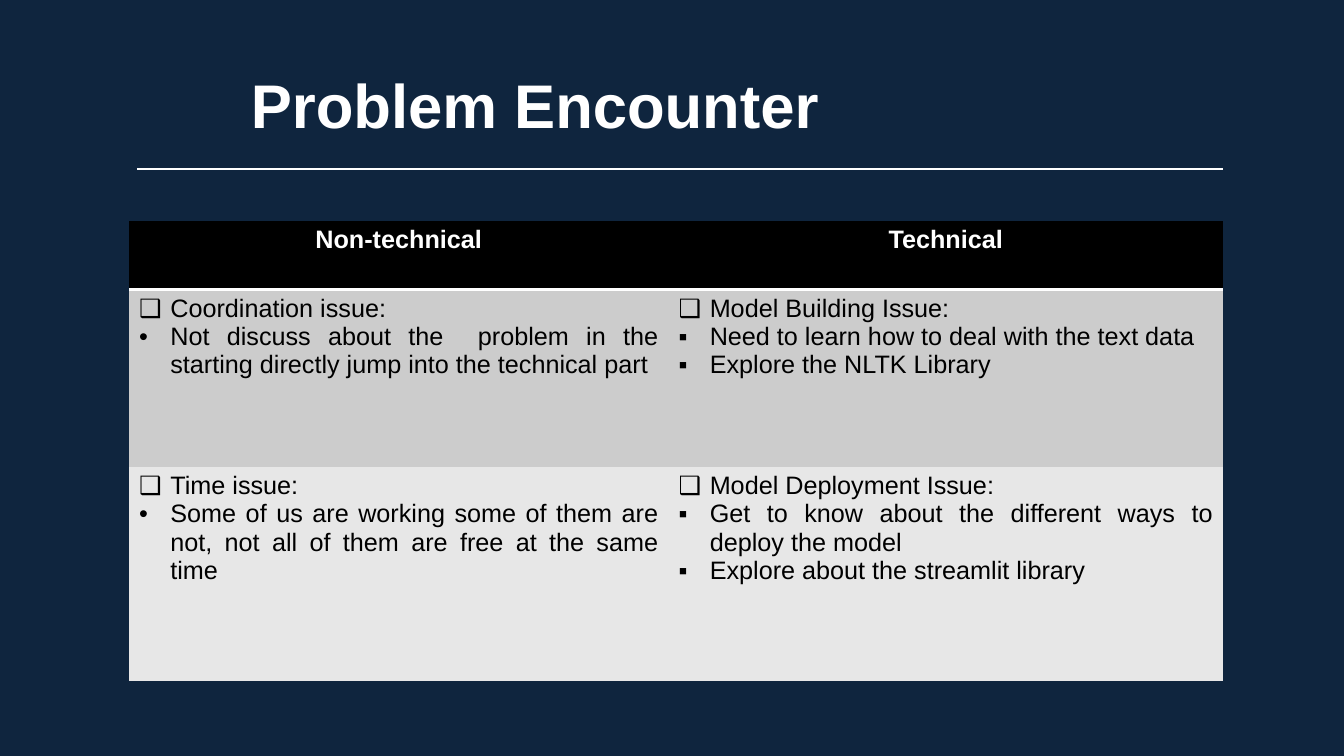
"""Build the Problem Encounter slide with its table of issues."""
from lxml.etree import SubElement
from pptx import Presentation
from pptx.dml.color import RGBColor
from pptx.enum.shapes import MSO_CONNECTOR
from pptx.enum.text import MSO_ANCHOR, PP_ALIGN
from pptx.oxml import parse_xml
from pptx.oxml.ns import nsdecls, qn
from pptx.util import Inches, Pt

NAVY = RGBColor(0x0F, 0x25, 0x3E)
WHITE = RGBColor(0xFF, 0xFF, 0xFF)
BLACK = RGBColor(0x00, 0x00, 0x00)
GREY = RGBColor(0xCC, 0xCC, 0xCC)
LIGHT_GREY = RGBColor(0xE7, 0xE7, 0xE7)
NO_STYLE = "{2D5ABB26-0587-4C30-8999-92F81FD0307C}"


def write(para, text, size=18, color=BLACK, bold=False, align=None, bullet=None):
    if bullet:
        properties = para._p.get_or_add_pPr()
        properties.set("marL", str(Inches(0.31)))
        properties.set("indent", str(Inches(-0.31)))
        SubElement(properties, qn("a:buFont"), typeface="Arial")
        SubElement(properties, qn("a:buChar"), char=bullet)
    para.alignment = align
    span = para.add_run()
    span.text = text
    span.font.name = "Arial"
    span.font.size = Pt(size)
    span.font.bold = bold
    span.font.color.rgb = color


deck = Presentation()
deck.slide_width = Inches(13.33)
deck.slide_height = Inches(7.5)
page = deck.slides.add_slide(deck.slide_layouts[6])
page.background.fill.solid()
page.background.fill.fore_color.rgb = NAVY

title = page.shapes.add_textbox(Inches(2.39), Inches(0.28), Inches(9.81), Inches(1.59))
title.text_frame.word_wrap = True
title.text_frame.vertical_anchor = MSO_ANCHOR.MIDDLE
title_para = title.text_frame.paragraphs[0]
title_para.line_spacing = 0.9
write(title_para, "Problem Encounter", size=44, color=WHITE, bold=True)

frame = page.shapes.add_table(3, 2, Inches(1.28), Inches(2.19), Inches(10.85), Inches(4.57))
table = frame.table
table._tbl.tblPr.find(qn("a:tableStyleId")).text = NO_STYLE
for column, width in zip(table.columns, (5.35, 5.5)):
    column.width = Inches(width)
for row, height in zip(table.rows, (0.68, 1.76, 2.13)):
    row.height = Inches(height)

for index, heading in enumerate(("Non-technical", "Technical")):
    cell = table.cell(0, index)
    cell.fill.solid()
    cell.fill.fore_color.rgb = BLACK
    write(cell.text_frame.paragraphs[0], heading, color=WHITE, bold=True, align=PP_ALIGN.CENTER)
    border = parse_xml(
        f'<a:lnB {nsdecls("a")} w="{Pt(2)}"><a:solidFill>'
        f'<a:srgbClr val="{WHITE}"/></a:solidFill></a:lnB>'
    )
    cell._tc.get_or_add_tcPr().insert(0, border)

issues = [
    (GREY, [
        ("•", ["Coordination issue:",
               "Not discuss about the  problem in the starting directly jump into the technical part"]),
        ("▪", ["Model Building Issue:",
               "Need to learn how to deal with the text data",
               "Explore the NLTK Library"]),
    ]),
    (LIGHT_GREY, [
        ("•", ["Time issue:",
               "Some of us are working some of them are not, not all of them are free at the same time"]),
        ("▪", ["Model Deployment Issue:",
               "Get to know about the different ways to deploy the model",
               "Explore about the streamlit library"]),
    ]),
]
for row_index, (shade, cells) in enumerate(issues, start=1):
    for column_index, (mark, lines) in enumerate(cells):
        cell = table.cell(row_index, column_index)
        cell.fill.solid()
        cell.fill.fore_color.rgb = shade
        for line_index, text in enumerate(lines):
            body = cell.text_frame
            para = body.add_paragraph() if line_index else body.paragraphs[0]
            write(para, text, align=PP_ALIGN.JUSTIFY, bullet=mark if line_index else "❑")

rule = page.shapes.add_connector(
    MSO_CONNECTOR.STRAIGHT, Inches(1.36), Inches(1.68), Inches(12.13), Inches(1.68)
)
rule.line.color.rgb = WHITE
rule.line.width = Pt(1.5)
SubElement(rule._element.spPr, qn("a:effectLst"))

deck.save("out.pptx")
